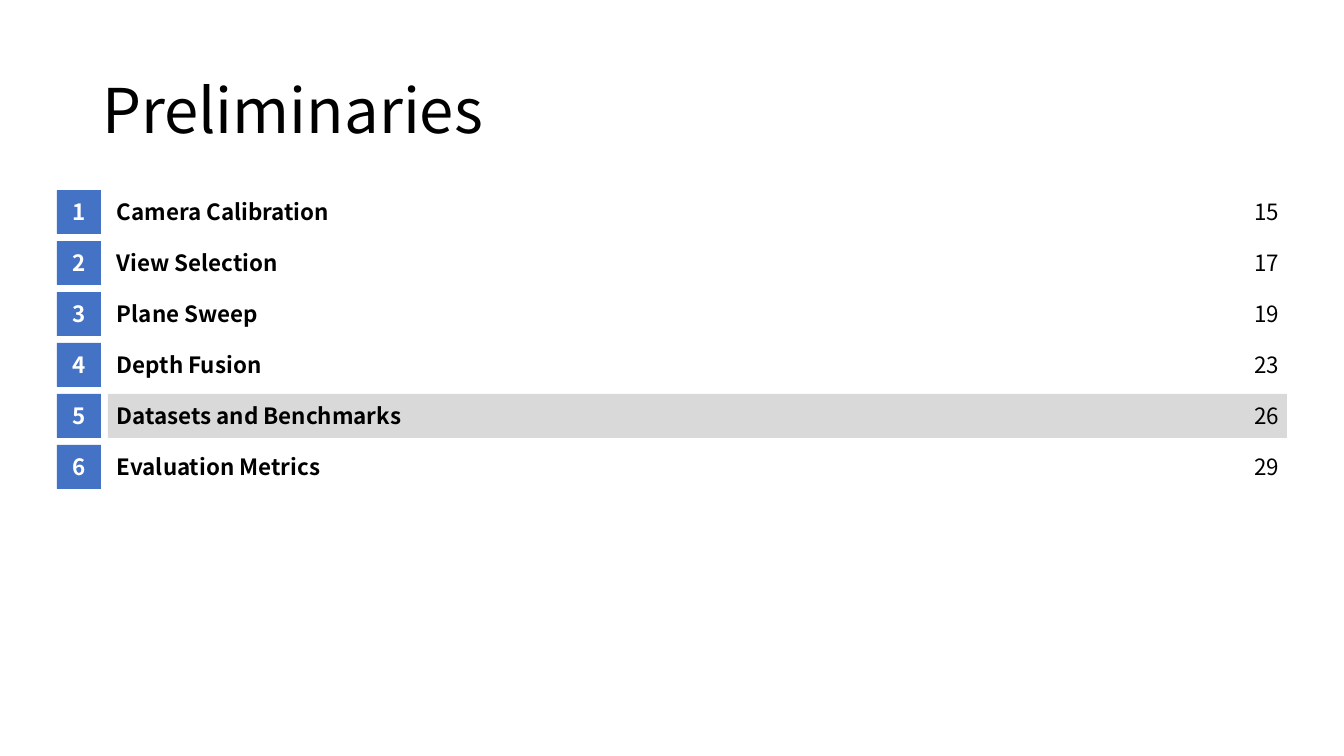
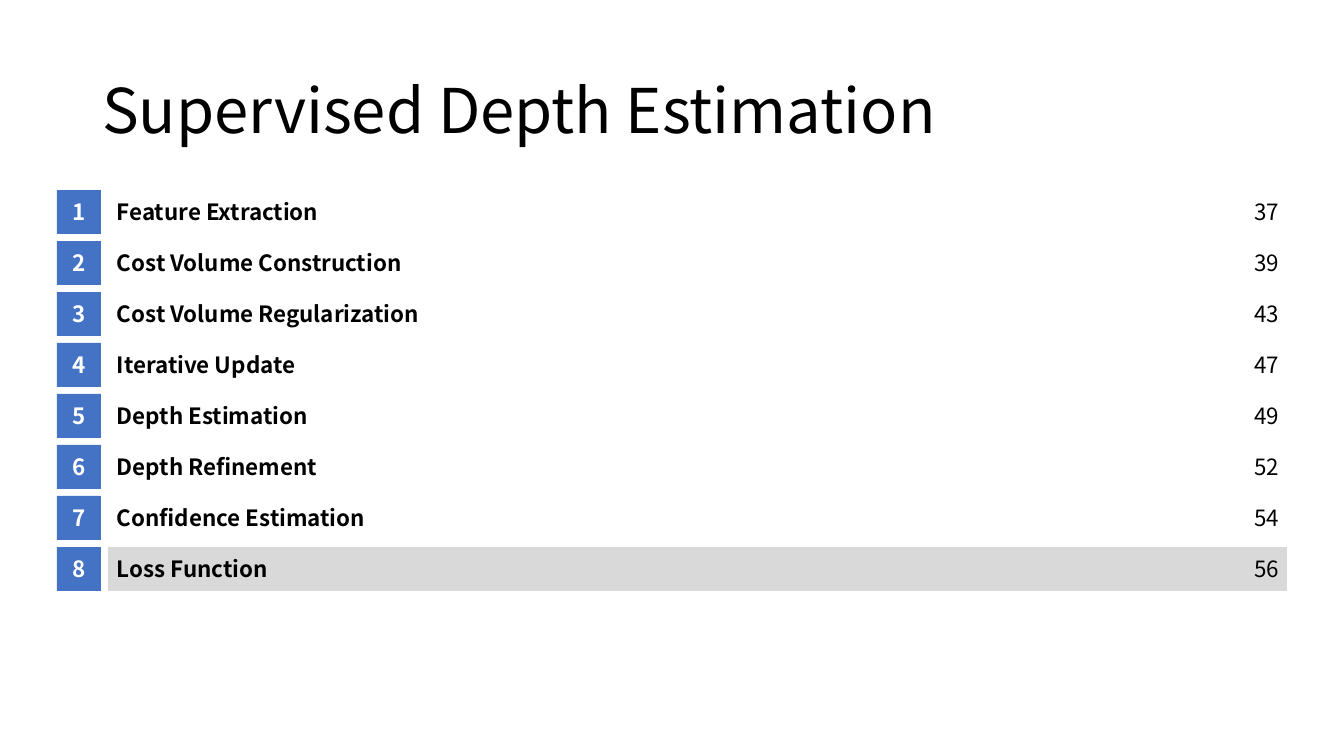
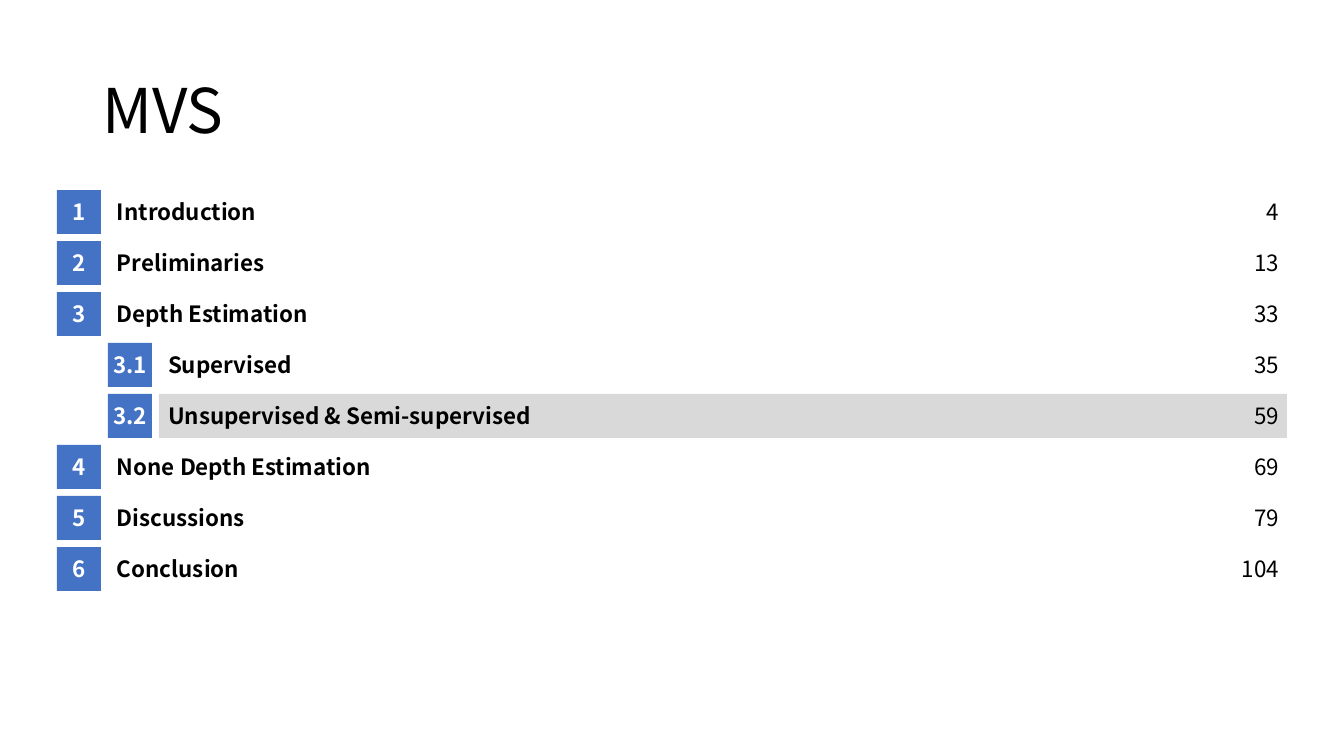
from pptx import Presentation
from pptx.dml.color import RGBColor
from pptx.enum.shapes import MSO_SHAPE
from pptx.enum.text import MSO_ANCHOR, MSO_AUTO_SIZE, PP_ALIGN
from pptx.util import Emu, Pt

RECTANGLE = MSO_SHAPE.RECTANGLE
TOP, MIDDLE = MSO_ANCHOR.TOP, MSO_ANCHOR.MIDDLE
LEFT, CENTER, RIGHT = PP_ALIGN.LEFT, PP_ALIGN.CENTER, PP_ALIGN.RIGHT
NO_AUTOFIT = MSO_AUTO_SIZE.NONE

SLIDE_WIDTH, SLIDE_HEIGHT = 1344, 756
EMU_PER_PX = 12192000 / SLIDE_WIDTH
FONT = "Noto Sans CJK SC"
COLORS = {
    "text": "000000",
    "number": "FFFFFF",
    "tile": "4472C4",
    "highlight": "D9D9D9",
}
TITLE_BOX = (92, 41, 1159, 146)
LIST_LEFT, LIST_TOP, LIST_RIGHT = 57, 190, 1287
TILE, GAP, INSET = 44, 7, 8
PITCH = TILE + GAP
LABEL_WIDTH, LABEL_INSET = 400, 9
PAGE_WIDTH = 44

AGENDAS = [
    {
        "title": "Preliminaries",
        "current": "5",
        "entries": [
            ("1", "Camera Calibration", "15"),
            ("2", "View Selection", "17"),
            ("3", "Plane Sweep", "19"),
            ("4", "Depth Fusion", "23"),
            ("5", "Datasets and Benchmarks", "26"),
            ("6", "Evaluation Metrics", "29"),
        ],
    },
    {
        "title": "Supervised Depth Estimation",
        "current": "8",
        "entries": [
            ("1", "Feature Extraction", "37"),
            ("2", "Cost Volume Construction", "39"),
            ("3", "Cost Volume Regularization", "43"),
            ("4", "Iterative Update", "47"),
            ("5", "Depth Estimation", "49"),
            ("6", "Depth Refinement", "52"),
            ("7", "Confidence Estimation", "54"),
            ("8", "Loss Function", "56"),
        ],
    },
    {
        "title": "MVS",
        "current": "3.2",
        "entries": [
            ("1", "Introduction", "4"),
            ("2", "Preliminaries", "13"),
            ("3", "Depth Estimation", "33"),
            ("3.1", "Supervised", "35"),
            ("3.2", "Unsupervised & Semi-supervised", "59"),
            ("4", "None Depth Estimation", "69"),
            ("5", "Discussions", "79"),
            ("6", "Conclusion", "104"),
        ],
    },
]


def px(length):
    return Emu(round(length * EMU_PER_PX))


def box(*lengths):
    return [px(length) for length in lengths]


def format_text(paragraph, size, color, bold, alignment):
    paragraph.alignment = alignment
    paragraph.font.name = FONT
    paragraph.font.size = Pt(size)
    paragraph.font.bold = bold
    paragraph.font.color.rgb = RGBColor.from_string(COLORS[color])


def write_line(shape, text, color, bold, alignment, anchor, insets):
    frame = shape.text_frame
    frame.word_wrap = False
    frame.vertical_anchor = anchor
    frame.margin_left, frame.margin_right = box(*insets)
    frame.margin_top = frame.margin_bottom = px(INSET)
    frame.text = text
    format_text(frame.paragraphs[0], 16, color, bold, alignment)


def add_block(slide, left, top, width, fill):
    shape = slide.shapes.add_shape(RECTANGLE, *box(left, top, width, TILE))
    shape.shadow.inherit = False
    shape.fill.solid()
    shape.fill.fore_color.rgb = RGBColor.from_string(COLORS[fill])
    shape.line.fill.background()
    return shape


def add_tile(slide, left, top, number):
    tile = add_block(slide, left, top, TILE, "tile")
    write_line(tile, number, "number", True, CENTER, MIDDLE, (INSET, INSET))


def add_text(slide, left, top, width, text, bold, alignment, insets):
    textbox = slide.shapes.add_textbox(*box(left, top, width, TILE))
    write_line(textbox, text, "text", bold, alignment, TOP, insets)


def add_entry(slide, row, entry, current):
    number, label, page = entry
    top = LIST_TOP + row * PITCH
    left = LIST_LEFT + number.count(".") * PITCH
    label_left = left + PITCH
    page_left = LIST_RIGHT - INSET - PAGE_WIDTH
    if number == current:
        add_block(slide, label_left, top, LIST_RIGHT - label_left, "highlight")
    add_tile(slide, left, top, number)
    add_text(slide, label_left, top, LABEL_WIDTH, label, True, LEFT, (LABEL_INSET, 0))
    add_text(slide, page_left, top, PAGE_WIDTH, page, False, RIGHT, (0, 0))


def set_title(slide, text):
    title = slide.shapes.title
    title.left, title.top, title.width, title.height = box(*TITLE_BOX)
    frame = title.text_frame
    frame.text = text
    frame.auto_size = NO_AUTOFIT
    frame.vertical_anchor = MIDDLE
    paragraph = frame.paragraphs[0]
    paragraph.line_spacing = 0.9
    format_text(paragraph, 44, "text", False, LEFT)


def add_agenda(presentation, agenda):
    slide = presentation.slides.add_slide(presentation.slide_layouts[5])
    set_title(slide, agenda["title"])
    for row, entry in enumerate(agenda["entries"]):
        add_entry(slide, row, entry, agenda["current"])


def main():
    presentation = Presentation()
    presentation.slide_width, presentation.slide_height = box(SLIDE_WIDTH, SLIDE_HEIGHT)
    for agenda in AGENDAS:
        add_agenda(presentation, agenda)
    presentation.save("out.pptx")


if __name__ == "__main__":
    main()
